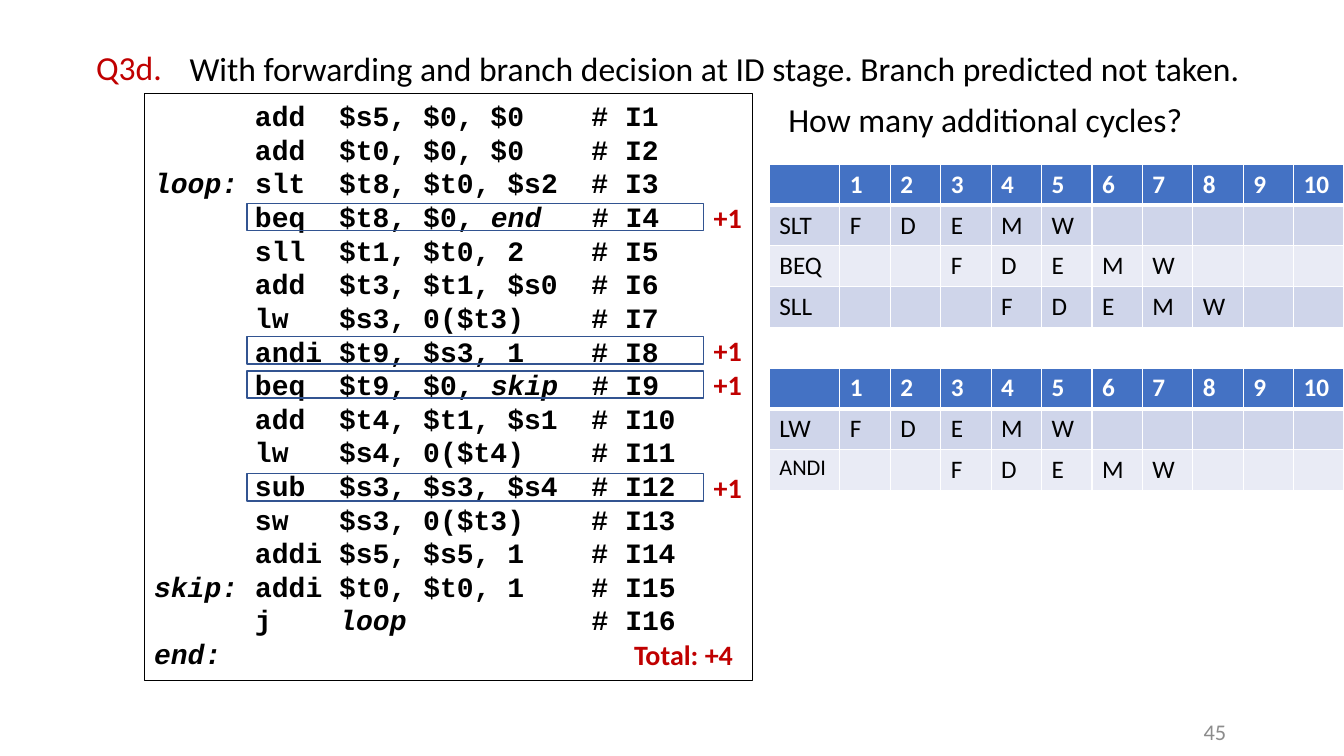
from lxml import etree
from pptx import Presentation
from pptx.dml.color import RGBColor
from pptx.enum.shapes import MSO_SHAPE
from pptx.enum.text import MSO_ANCHOR, MSO_AUTO_SIZE, PP_ALIGN
from pptx.oxml.ns import qn
from pptx.util import Inches, Pt

RECTANGLE = MSO_SHAPE.RECTANGLE
TOP, MIDDLE = MSO_ANCHOR.TOP, MSO_ANCHOR.MIDDLE
LEFT, CENTER, RIGHT, JUSTIFY = (
    PP_ALIGN.LEFT, PP_ALIGN.CENTER, PP_ALIGN.RIGHT, PP_ALIGN.JUSTIFY)
NO_AUTOFIT = MSO_AUTO_SIZE.NONE

# Content: asterisks enclose italic words in the code
TITLE = "With forwarding and branch decision at ID stage. Branch predicted not taken."
CODE = """\
      add  $s5, $0, $0    # I1
      add  $t0, $0, $0    # I2
*loop: *slt  $t8, $t0, $s2  # I3
      beq  $t8, $0, *end*   # I4
      sll  $t1, $t0, 2    # I5
      add  $t3, $t1, $s0  # I6
      lw   $s3, 0($t3)    # I7
      andi $t9, $s3, 1    # I8
      beq  $t9, $0, *skip*  # I9
      add  $t4, $t1, $s1  # I10
      lw   $s4, 0($t4)    # I11
      sub  $s3, $s3, $s4  # I12
      sw   $s3, 0($t3)    # I13
      addi $s5, $s5, 1    # I14
*skip: *addi $t0, $t0, 1    # I15
      j    *loop*           # I16
*end:*"""
DELAY_TOPS = [2.02, 3.34, 3.68, 4.7]
STAGES = "FDEMW"
CYCLES = 10
# Each table: top, then (instruction, first cycle, label size)
TIMELINES = [
    (1.63, [("SLT", 1, 18), ("BEQ", 3, 18), ("SLL", 4, 18)]),
    (3.65, [("LW", 1, 18), ("ANDI", 3, 16)]),
]

# Layout and colours
TABLE_LEFT, LABEL_WIDTH, CYCLE_WIDTH, ROW_HEIGHT = 7.63, 0.7, 0.5, 0.405
BLACK, WHITE, RED, GREY = "000000", "FFFFFF", "C00000", "8C8C8C"
OUTLINE, HEADER, BANDS = "325491", "4472C4", ("CFD5EA", "E9EBF5")


def color(value):
    return RGBColor.from_string(value)


def write(frame, text, size=24, ink=BLACK, font="Calibri", bold=False,
          align=LEFT, anchor=TOP):
    frame.word_wrap = True
    frame.vertical_anchor = anchor
    for index, line in enumerate(text.split("\n")):
        paragraph = frame.add_paragraph() if index else frame.paragraphs[0]
        paragraph.alignment = align
        for part, words in enumerate(line.split("*")):
            if words:
                run = paragraph.add_run()
                run.text = words
                run.font.name = font
                run.font.size = Pt(size)
                run.font.bold = bold
                run.font.italic = part % 2 == 1
                run.font.color.rgb = color(ink)


def add_text(slide, box, text, right_inset=0.1, **text_format):
    shape = slide.shapes.add_textbox(*map(Inches, box))
    shape.text_frame.margin_right = Inches(right_inset)
    write(shape.text_frame, text, **text_format)


def add_frame(slide, box, line, width):
    shape = slide.shapes.add_shape(RECTANGLE, *map(Inches, box))
    shape.shadow.inherit = False
    shape.fill.background()
    shape.line.color.rgb = color(line)
    shape.line.width = Pt(width)
    return shape


def fill_cell(cell, fill, top=1, bottom=1):
    properties = cell._tc.get_or_add_tcPr()
    for side, width in (("L", 1), ("R", 1), ("T", top), ("B", bottom)):
        border = etree.SubElement(properties, qn("a:ln" + side), w=str(Pt(width)))
        solid = etree.SubElement(border, qn("a:solidFill"))
        etree.SubElement(solid, qn("a:srgbClr"), val=WHITE)
    cell.fill.solid()
    cell.fill.fore_color.rgb = color(fill)


def add_timeline(slide, top, instructions):
    rows, columns = len(instructions) + 1, CYCLES + 1
    table = slide.shapes.add_table(
        rows, columns, Inches(TABLE_LEFT), Inches(top),
        Inches(LABEL_WIDTH + CYCLES * CYCLE_WIDTH), Inches(rows * ROW_HEIGHT)).table
    for index, column in enumerate(table.columns):
        column.width = Inches(CYCLE_WIDTH if index else LABEL_WIDTH)

    # Header row
    for cycle in range(columns):
        cell = table.cell(0, cycle)
        fill_cell(cell, HEADER, bottom=3)
        write(cell.text_frame, str(cycle or ""), size=18, ink=WHITE, bold=True)

    # Pipeline stages, one instruction a row
    for row, (name, start, label_size) in enumerate(instructions, 1):
        texts = {0: name, **dict(enumerate(STAGES, start))}
        for cycle in range(columns):
            cell = table.cell(row, cycle)
            fill_cell(cell, BANDS[(row - 1) % 2], top=3 if row == 1 else 1)
            write(cell.text_frame, texts.get(cycle, ""),
                  size=18 if cycle else label_size)


def main():
    presentation = Presentation()
    presentation.slide_width = Inches(13.33)
    presentation.slide_height = Inches(7.5)
    slide = presentation.slides.add_slide(presentation.slide_layouts[5])

    # Heading
    title = slide.shapes.title
    title.left, title.top, title.width, title.height = map(
        Inches, (1.78, 0.43, 11.07, 0.5))
    title.text_frame.auto_size = NO_AUTOFIT
    write(title.text_frame, TITLE)
    add_text(slide, (0.78, 0.42, 1, 0.5), "Q3d.", ink=RED, align=CENTER)
    add_text(slide, (7.72, 0.93, 4.4, 0.5), "How many additional cycles?")

    # Code listing
    listing = add_frame(slide, (1.43, 0.93, 6.03, 5.82), BLACK, 0.75)
    write(listing.text_frame, CODE, size=20, font="Courier New", bold=True,
          align=JUSTIFY)

    # Delayed instructions and their total
    for top in DELAY_TOPS:
        add_frame(slide, (2.45, top, 4.53, 0.27), OUTLINE, 1)
        add_text(slide, (6.98, top - 0.08, 0.48, 0.44), "+1", right_inset=0,
                 size=20, ink=RED, bold=True)
    add_text(slide, (6.19, 6.28, 1.54, 0.44), f"Total: +{len(DELAY_TOPS)}",
             size=20, ink=RED, bold=True)

    # Pipeline timelines and slide number
    for top, instructions in TIMELINES:
        add_timeline(slide, top, instructions)
    add_text(slide, (10.83, 7.06, 1.43, 0.4), "45", size=16, ink=GREY,
             align=RIGHT, anchor=MIDDLE)

    presentation.save("out.pptx")


if __name__ == "__main__":
    main()
